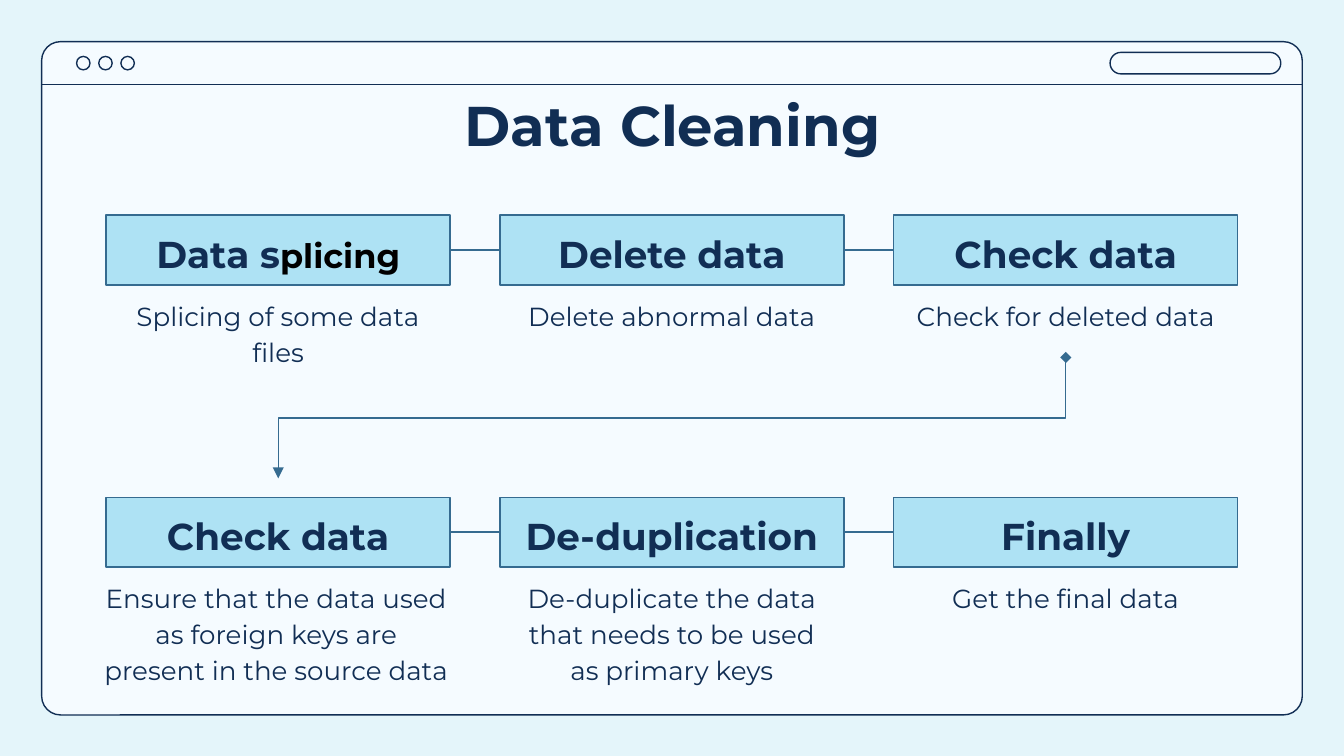
from lxml.etree import SubElement
from pptx import Presentation
from pptx.dml.color import RGBColor
from pptx.enum.shapes import MSO_CONNECTOR, MSO_SHAPE
from pptx.enum.text import MSO_ANCHOR, MSO_AUTO_SIZE, PP_ALIGN
from pptx.oxml.ns import qn
from pptx.util import Inches, Pt

WIDTH = 10
HEIGHT = WIDTH * 9 / 16
COLORS = {"back": "E4F5FA", "window": "F5FBFF", "navy": "112E54",
          "box": "AEE2F4", "edge": "356B90", "black": "000000"}
FORMATS = {
    "title": {"size": Pt(30), "bold": True},
    "step": {"size": Pt(20), "bold": True},
    "small_step": {"size": Pt(18), "bold": True},
    "caption": {"size": Pt(14), "bold": False},
}
# Grid of steps: origin, pitch and box size
LEFT, TOP = 0.79, 1.6
PITCH_X, PITCH_Y = 2.93, 2.1
BOX_W, BOX_H = 2.56, 0.52
CAPTION_DROP, CAPTION_H = 0.5, 0.69

# Each step: heading runs (text, format, colour), caption, extra caption width
STEPS = [
    [([("Data s", "step", "navy"), ("plicing", "small_step", "black")],
      "Splicing of some data files", 0),
     ([("Delete data", "step", "navy")], "Delete abnormal data", 0),
     ([("Check data", "step", "navy")], "Check for deleted data", 0)],
    [([("Check data", "step", "navy")],
      "Ensure that the data used as foreign keys are present in the source data", 0.23),
     ([("De-duplication", "step", "navy")],
      "De-duplicate the data that needs to be used as primary keys", 0),
     ([("Finally", "step", "navy")], "Get the final data", 0)],
]


def rgb(name):
    return RGBColor.from_string(COLORS[name])


def inches(*values):
    return [Inches(v) for v in values]


def write(sp, runs, spacing=None, anchor=MSO_ANCHOR.TOP):
    """Fill a shape with one centred paragraph of (text, format, colour) runs."""
    tf = sp.text_frame
    frame = {"word_wrap": True, "auto_size": MSO_AUTO_SIZE.NONE, "vertical_anchor": anchor}
    for side in ("left", "top", "right", "bottom"):
        frame[f"margin_{side}"] = Inches(0.1)
    for key, value in frame.items():
        setattr(tf, key, value)
    p = tf.paragraphs[0]
    p.alignment = PP_ALIGN.CENTER
    if spacing:
        p.line_spacing = spacing
    for text, style, color in runs:
        r = p.add_run()
        r.text = text
        r.font.name = "Montserrat"
        r.font.color.rgb = rgb(color)
        for key, value in FORMATS[style].items():
            setattr(r.font, key, value)


def add_outline(s, kind, box, line="navy", fill=None, adj=None):
    sp = s.shapes.add_shape(kind, *inches(*box))
    sp.shadow.inherit = False
    if fill:
        sp.fill.solid()
        sp.fill.fore_color.rgb = rgb(fill)
    else:
        sp.fill.background()
    sp.line.color.rgb = rgb(line)
    sp.line.width = Pt(0.75)
    if adj is not None:
        sp.adjustments[0] = adj
    return sp


def add_line(s, kind, ends, color):
    c = s.shapes.add_connector(kind, *inches(*ends))
    c.line.color.rgb = rgb(color)
    c.line.width = Pt(0.75)
    SubElement(c.element.spPr, qn("a:effectLst"))
    return c


def add_window(s):
    edge, bar_y = 0.31, 0.63
    add_outline(s, MSO_SHAPE.ROUNDED_RECTANGLE,
                (edge, edge, WIDTH - 2 * edge, 5.01), fill="window", adj=0.028)
    for i in range(3):
        add_outline(s, MSO_SHAPE.OVAL, (0.57 + i * 0.33 / 2, 0.42, 0.1, 0.1))
    add_outline(s, MSO_SHAPE.ROUNDED_RECTANGLE, (8.26, 0.39, 1.27, 0.16), adj=0.5)
    add_line(s, MSO_CONNECTOR.STRAIGHT, (edge, bar_y, WIDTH - edge, bar_y), "navy")


def add_title(s, text):
    title = s.shapes.title
    title.left, title.top, title.width, title.height = inches(LEFT, 0.57, 8.43, 0.63)
    write(title, [(text, "title", "navy")])
    s.shapes.element.append(title.element)  # in front of the window


def add_step(s, row, col, heading, caption, extra):
    x, y = LEFT + col * PITCH_X, TOP + row * PITCH_Y
    tb = s.shapes.add_textbox(*inches(x - 0.56 * extra, y + CAPTION_DROP,
                                      BOX_W + extra, CAPTION_H))
    write(tb, [(caption, "caption", "navy")], 1.15)
    box = add_outline(s, MSO_SHAPE.RECTANGLE, (x, y, BOX_W, BOX_H), "edge", "box")
    write(box, heading, 1.15, MSO_ANCHOR.MIDDLE)
    return box


def link(s, a, b):
    c = add_line(s, MSO_CONNECTOR.ELBOW, (0, 0, 0, 0), "edge")
    c.begin_connect(a, 3)
    c.end_connect(b, 1)


def add_return_arrow(s, start, end):
    """Elbow that leaves downwards: drawn sideways, then turned by 90 degrees."""
    (x1, y1), (x2, y2) = start, end
    cx, cy = (x1 + x2) / 2, (y1 + y2) / 2
    dx, dy = (y2 - y1) / 2, (x1 - x2) / 2
    c = add_line(s, MSO_CONNECTOR.ELBOW, (cx - dx, cy - dy, cx + dx, cy + dy), "edge")
    c.element.spPr.find(qn("a:xfrm")).set("rot", "5400000")
    ln = c.element.spPr.find(qn("a:ln"))
    for tag, kind in (("a:headEnd", "diamond"), ("a:tailEnd", "triangle")):
        SubElement(ln, qn(tag), type=kind, w="med", len="med")


def main():
    prs = Presentation()
    prs.slide_width, prs.slide_height = inches(WIDTH, HEIGHT)
    s = prs.slides.add_slide(prs.slide_layouts[5])
    s.background.fill.solid()
    s.background.fill.fore_color.rgb = rgb("back")
    add_window(s)
    add_title(s, "Data Cleaning")
    for row, steps in enumerate(STEPS):
        boxes = [add_step(s, row, col, *step) for col, step in enumerate(steps)]
        for a, b in zip(boxes, boxes[1:]):
            link(s, a, b)
    first_x = LEFT + BOX_W / 2
    add_return_arrow(s, (first_x + 2 * PITCH_X, 2.66), (first_x, 3.56))
    prs.save("out.pptx")


if __name__ == "__main__":
    main()
